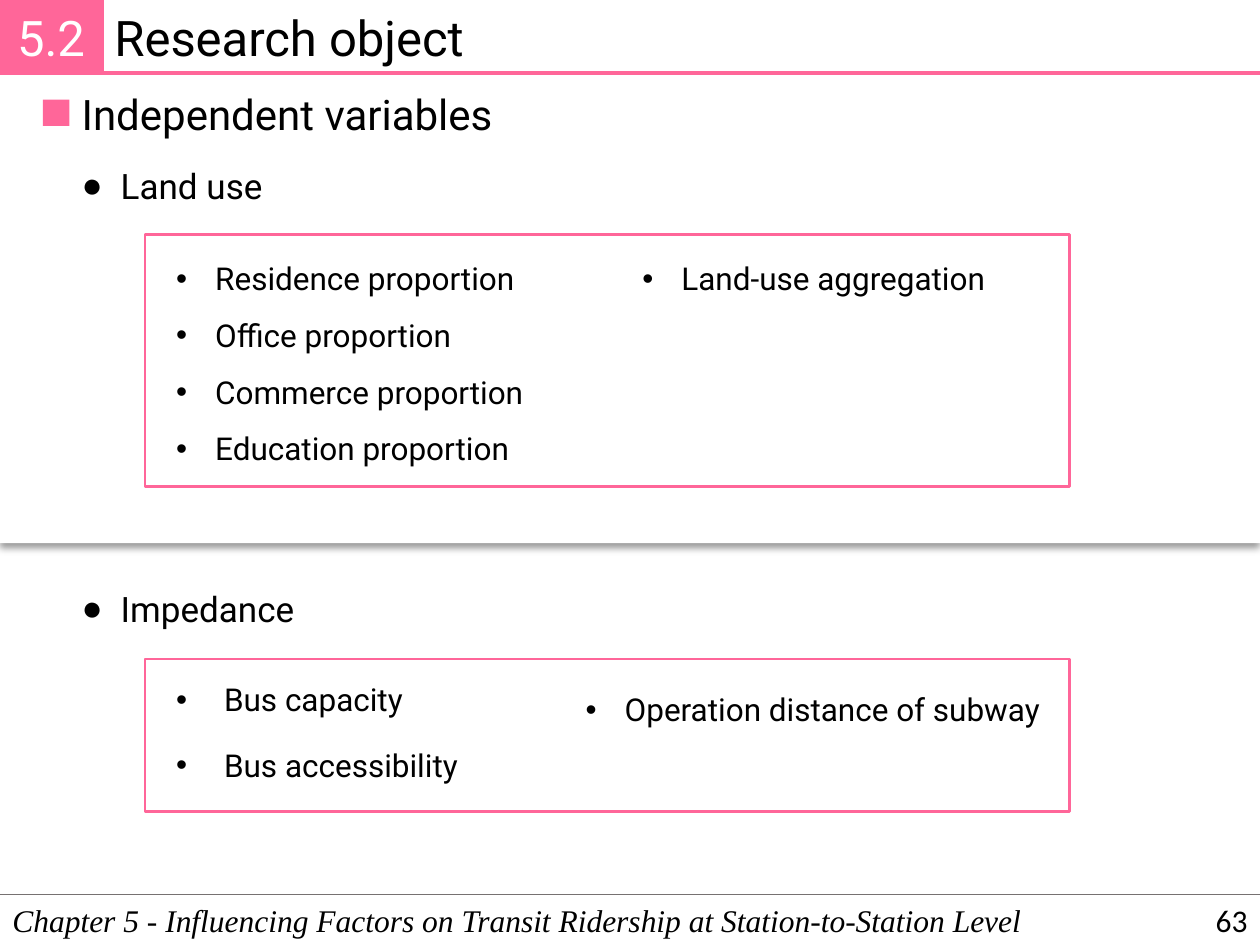
from dataclasses import dataclass
from typing import Optional

from lxml import etree
from pptx import Presentation
from pptx.dml.color import RGBColor
from pptx.enum import shapes, text
from pptx.oxml import ns
from pptx.util import Inches, Pt

PINK = RGBColor(0xFF, 0x66, 0x99)
WHITE = RGBColor(0xFF, 0xFF, 0xFF)
BLACK = RGBColor(0, 0, 0)
GRAY = RGBColor(0x76, 0x71, 0x71)

Box = tuple[float, float, float, float]


@dataclass
class Label:
    box: Box
    lines: list[str]
    size: int = 18
    bullet: str = ""
    indent: float = 0.31
    spacing: Optional[float] = None
    wrap: bool = True
    font: str = "Roboto"
    italic: bool = False
    align: Optional[text.PP_ALIGN] = None
    anchor: text.MSO_ANCHOR = text.MSO_ANCHOR.TOP
    grow: bool = True


def add_element(parent, tag: str, **attributes: str):
    return etree.SubElement(parent, ns.qn(tag), attributes)


def inches(box: Box) -> list[int]:
    return [Inches(value) for value in box]


def add_rectangle(slide, box: Box, fill: Optional[RGBColor] = None, line_width: float = 0):
    shape = slide.shapes.add_shape(shapes.MSO_SHAPE.RECTANGLE, *inches(box))
    shape.shadow.inherit = False
    if fill is None:
        shape.fill.background()
    else:
        shape.fill.solid()
        shape.fill.fore_color.rgb = fill
    if line_width:
        shape.line.color.rgb = PINK
        shape.line.width = Pt(line_width)
    else:
        shape.line.fill.background()
    return shape


def add_drop_shadow(shape) -> None:
    """Cast a soft 40 % black shadow straight down."""
    effects = shape._element.spPr.find(ns.qn("a:effectLst"))
    shadow = add_element(effects, "a:outerShdw", blurRad=str(Pt(4)), dist=str(Pt(3)),
                         dir="5400000", algn="t", rotWithShape="0")
    color = add_element(shadow, "a:srgbClr", val="000000")
    add_element(color, "a:alpha", val="40000")


def add_rule(slide, left: float, top: float, color: RGBColor, width: float) -> None:
    """Draw a horizontal line from left to the slide's right edge."""
    rule = slide.shapes.add_connector(shapes.MSO_CONNECTOR.STRAIGHT, Inches(left), Inches(top),
                                      Inches(10), Inches(top))
    rule.line.color.rgb = color
    rule.line.width = Pt(width)
    add_element(rule._element.spPr, "a:effectLst")


def format_font(paragraph, name: str, size: int, color: RGBColor, italic: bool = False) -> None:
    for run in paragraph.runs:
        run.font.name = name
        run.font.size = Pt(size)
        run.font.color.rgb = color
        run.font.italic = italic


def add_bullet(paragraph, character: str, indent: float) -> None:
    properties = paragraph._p.get_or_add_pPr()
    properties.set("marL", str(Inches(indent)))
    properties.set("indent", str(-Inches(indent)))
    add_element(properties, "a:buFont", typeface="Arial")
    add_element(properties, "a:buChar", char=character)


def add_label(slide, label: Label) -> None:
    frame = slide.shapes.add_textbox(*inches(label.box)).text_frame
    frame.text = "\n".join(label.lines)
    frame.word_wrap = label.wrap
    frame.vertical_anchor = label.anchor
    if label.grow:
        frame.auto_size = text.MSO_AUTO_SIZE.SHAPE_TO_FIT_TEXT
    for paragraph in frame.paragraphs:
        paragraph.alignment = label.align
        paragraph.line_spacing = label.spacing
        if label.bullet:
            add_bullet(paragraph, label.bullet, label.indent)
        format_font(paragraph, label.font, label.size, BLACK, label.italic)


def add_section_number(slide, number: str) -> None:
    shape = add_rectangle(slide, (0, 0, 0.81, 0.58), PINK, 2.25)
    frame = shape.text_frame
    frame.margin_left = frame.margin_right = Inches(0.06)
    frame.margin_top = frame.margin_bottom = Inches(0.06)
    frame.vertical_anchor = text.MSO_ANCHOR.MIDDLE
    frame.text = number
    frame.paragraphs[0].alignment = text.PP_ALIGN.CENTER
    format_font(frame.paragraphs[0], "Roboto", 28, WHITE)


LABELS = [
    Label((0.81, 0.01, 9.19, 0.57), ["Research object"], size=28),
    Label((0, 7.1, 10, 0.4),
          ["Chapter 5 - Influencing Factors on Transit Ridership at Station-to-Station Level"],
          font="Times New Roman", italic=True),
    Label((7.75, 7.1, 2.25, 0.4), ["63"], font="Calibri", align=text.PP_ALIGN.RIGHT,
          anchor=text.MSO_ANCHOR.MIDDLE, grow=False),
    Label((0.55, 0.65, 3.5, 0.5), ["Independent variables"], size=24, wrap=False),
    Label((0.55, 1.26, 1.67, 0.44), ["Land use"], size=20, bullet="●", wrap=False),
    Label((1.3, 1.86, 2.96, 1.86),
          [f"{use} proportion" for use in ("Residence", "Office", "Commerce", "Education")],
          bullet="•", spacing=1.5, wrap=False),
    Label((5, 1.86, 2.97, 0.5), ["Land-use aggregation"], bullet="•", spacing=1.5, wrap=False),
    Label((0.55, 4.61, 1.9, 0.44), ["Impedance"], size=20, bullet="●", wrap=False),
    Label((1.3, 5.35, 2.83, 0.4), ["Bus capacity"], bullet="•", indent=0.38),
    Label((1.3, 5.87, 2.83, 0.4), ["Bus accessibility"], bullet="•", indent=0.38),
    Label((4.55, 5.43, 3.94, 0.4), ["Operation distance of subway"], bullet="•"),
]


def main() -> None:
    presentation = Presentation()
    presentation.slide_width = Inches(10)
    presentation.slide_height = Inches(7.5)
    slide = presentation.slides.add_slide(presentation.slide_layouts[6])

    add_drop_shadow(add_rectangle(slide, (0, 0.59, 10, 3.72), WHITE))
    add_rule(slide, 0, 7.1, GRAY, 1)
    add_section_number(slide, "5.2")
    add_rule(slide, 0.81, 0.58, PINK, 2.25)
    for top, height in ((1.86, 2), (5.23, 1.21)):
        add_rectangle(slide, (1.15, top, 7.34, height), line_width=1.5)
    add_rectangle(slide, (0.34, 0.79, 0.21, 0.21), PINK)
    for label in LABELS:
        add_label(slide, label)

    presentation.save("out.pptx")


if __name__ == "__main__":
    main()
